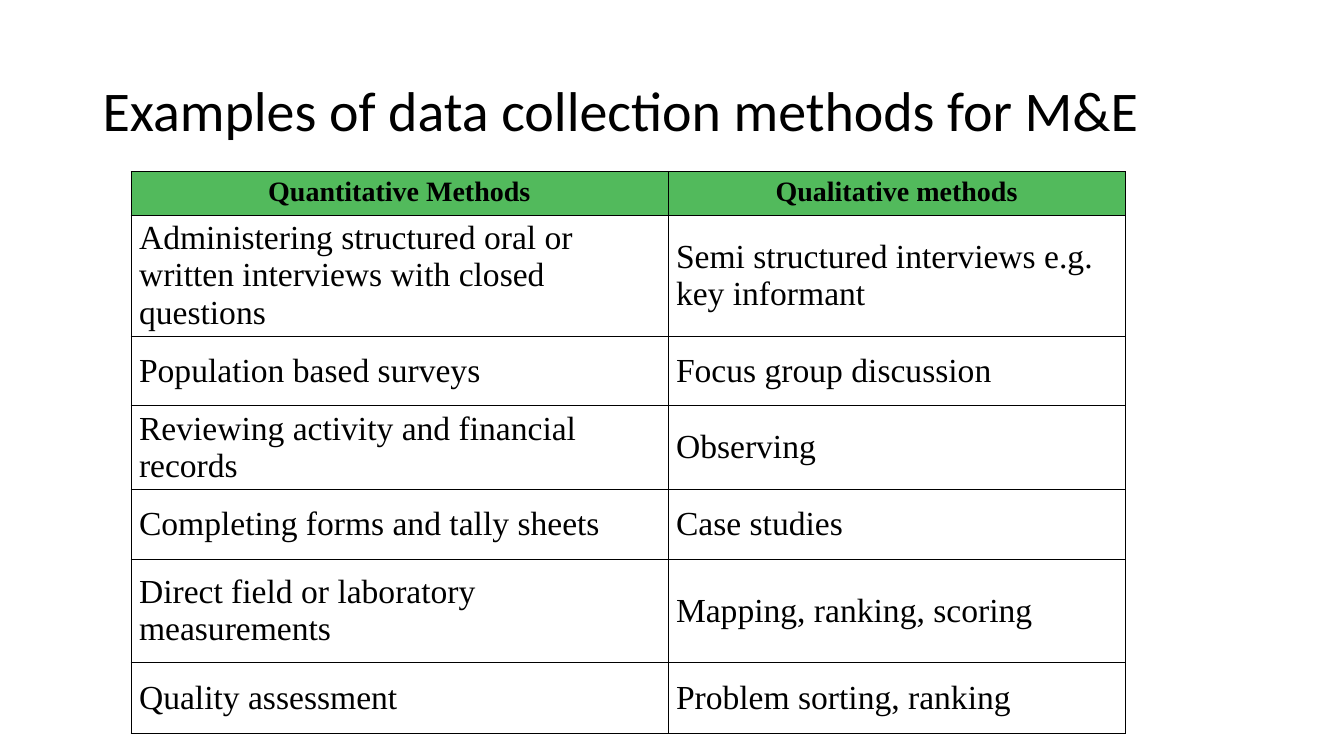
"""Build a slide with a table of data collection methods for M&E."""
from collections import namedtuple

from lxml.etree import SubElement
from pptx import Presentation
from pptx.dml.color import RGBColor as RGB
from pptx.enum.text import MSO_ANCHOR as ANCHOR, PP_ALIGN as ALIGN
from pptx.oxml.ns import qn
from pptx.util import Pt

Theme = namedtuple("Theme", "ink header title_font table_font title_size header_size body_size border")
THEME = Theme(RGB.from_string("000000"), RGB.from_string("52BA5C"), "Calibri",
              "Times New Roman", Pt(40), Pt(20), Pt(24), Pt(0.45))
PX = 9144

METHODS = [
    ("Quantitative Methods", "Qualitative methods"),
    ("Administering structured oral or written interviews with closed questions",
     "Semi structured interviews e.g. key informant"),
    ("Population based surveys", "Focus group discussion"),
    ("Reviewing activity and financial records", "Observing"),
    ("Completing forms and tally sheets", "Case studies"),
    ("Direct field or laboratory measurements", "Mapping, ranking, scoring"),
    ("Quality assessment", "Problem sorting, ranking"),
]
COLUMN_WIDTHS = [533, 454]
ROW_HEIGHTS = [43, 120, 69, 83, 69, 103, 70]


def style(paragraph, family, size, bold=False):
    font = paragraph.font
    font.name, font.size, font.bold = family, size, bold
    font.color.rgb = THEME.ink


def add_borders(cell):
    properties = cell._tc.get_or_add_tcPr()
    for side in ("lnL", "lnR", "lnT", "lnB"):
        line = SubElement(properties, qn(f"a:{side}"), w=str(int(THEME.border)))
        fill = SubElement(line, qn("a:solidFill"))
        SubElement(fill, qn("a:srgbClr"), val=str(THEME.ink))


prs = Presentation()
prs.slide_width, prs.slide_height = 1334 * PX, 750 * PX
slide = prs.slides.add_slide(prs.slide_layouts[6])

title = slide.shapes.add_textbox(92 * PX, 40 * PX, 1150 * PX, 145 * PX).text_frame
title.word_wrap = True
title.vertical_anchor = ANCHOR.MIDDLE
heading = title.paragraphs[0]
heading.text = "Examples of data collection methods for M&E"
heading.line_spacing = 0.9
style(heading, THEME.title_font, THEME.title_size)

methods = slide.shapes.add_table(
    len(METHODS), len(COLUMN_WIDTHS), 130 * PX, 170 * PX,
    sum(COLUMN_WIDTHS) * PX, sum(ROW_HEIGHTS) * PX).table
methods.first_row = methods.horz_banding = False
for column, width in zip(methods.columns, COLUMN_WIDTHS):
    column.width = width * PX

for row, height, entries in zip(methods.rows, ROW_HEIGHTS, METHODS):
    row.height = height * PX
    is_header = entries is METHODS[0]
    for cell, entry in zip(row.cells, entries):
        cell.margin_left = cell.margin_right = 8 * PX
        cell.margin_top = cell.margin_bottom = 5 * PX if is_header else 0
        add_borders(cell)
        cell.text = entry
        method = cell.text_frame.paragraphs[0]
        if is_header:
            cell.fill.solid()
            cell.fill.fore_color.rgb = THEME.header
            method.alignment = ALIGN.CENTER
            style(method, THEME.table_font, THEME.header_size, bold=True)
        else:
            cell.fill.background()
            cell.vertical_anchor = ANCHOR.MIDDLE
            style(method, THEME.table_font, THEME.body_size)

prs.save("out.pptx")
